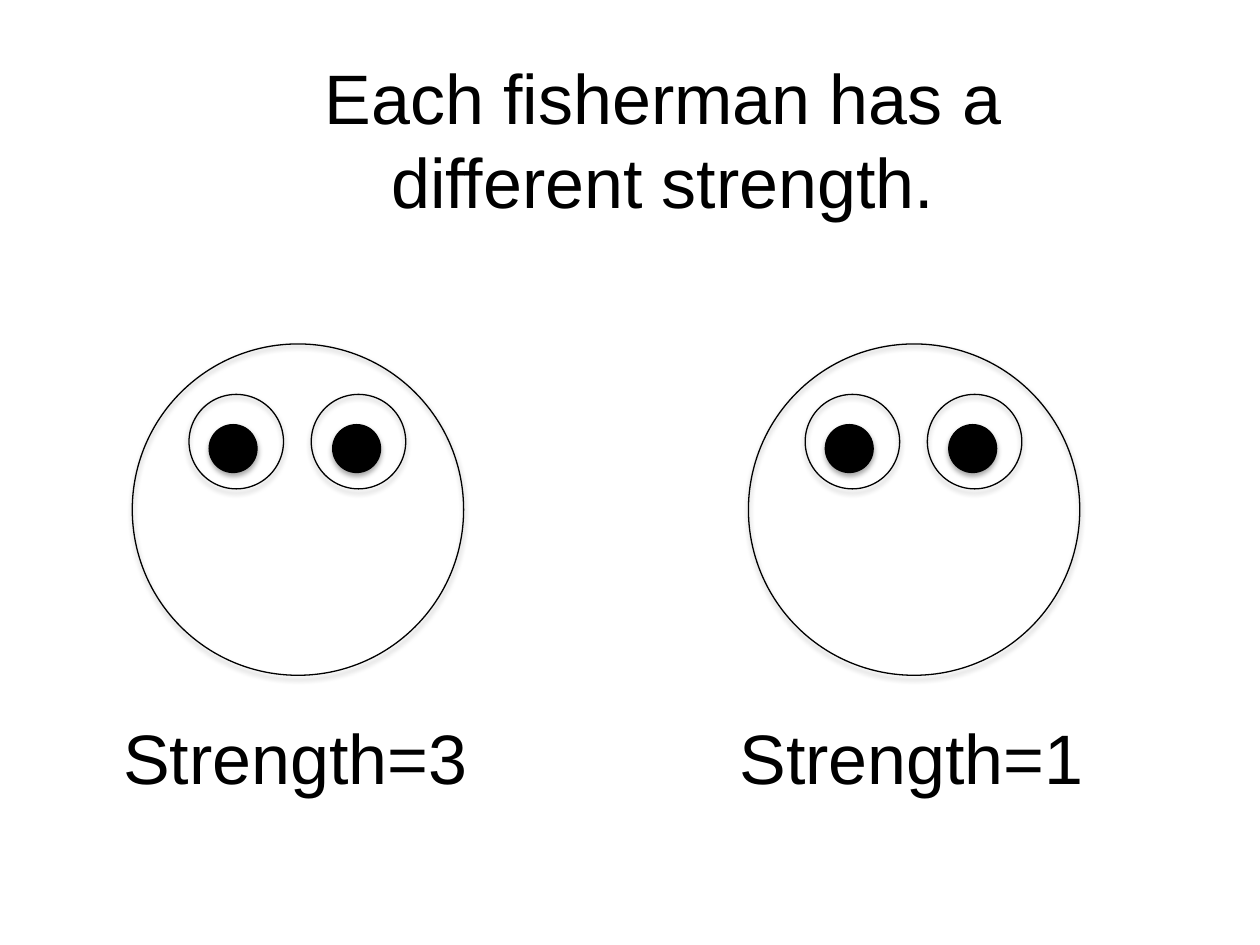
import pptx
import pptx.dml.color
import pptx.enum.shapes
import pptx.enum.text
import pptx.oxml
import pptx.oxml.ns
import pptx.util
from pptx.util import Inches

COLORS = {"ink": "000000"}
TITLE = "Each fisherman has a different strength."
FISHERMEN = [("Strength=3", 1.05), ("Strength=1", 5.94)]  # label, left of face
FACE_TOP = 2.73
# offset from the face's left and top, diameter, filled
FACE_PARTS = [
    (0, 0, 2.63, False),
    (0.45, 0.4, 0.75, False),
    (1.42, 0.4, 0.75, False),
    (0.61, 0.64, 0.38, True),
    (1.59, 0.64, 0.38, True),
]
LABEL_OFFSET, LABEL_TOP = -0.27, 5.62
SHADOW = (
    f'<a:outerShdw {pptx.oxml.ns.nsdecls("a")} blurRad="{pptx.util.Pt(3.1)}" '
    f'dist="{pptx.util.Pt(1.8)}" dir="5400000" rotWithShape="0">'
    f'<a:srgbClr val="{COLORS["ink"]}"><a:alpha val="35000"/></a:srgbClr>'
    "</a:outerShdw>"
)


def ink():
    return pptx.dml.color.RGBColor.from_string(COLORS["ink"])


def add_text(slide, text, left, top, width, height):
    frame = slide.shapes.add_textbox(
        Inches(left), Inches(top), Inches(width), Inches(height)
    ).text_frame
    frame.word_wrap = True
    frame.auto_size = pptx.enum.text.MSO_AUTO_SIZE.SHAPE_TO_FIT_TEXT
    paragraph = frame.paragraphs[0]
    paragraph.text = text
    paragraph.alignment = pptx.enum.text.PP_ALIGN.CENTER
    paragraph.font.name = "Arial"
    paragraph.font.size = pptx.util.Pt(40)
    paragraph.font.color.rgb = ink()


def add_circle(shapes, left, top, diameter, filled):
    circle = shapes.add_shape(
        pptx.enum.shapes.MSO_SHAPE.OVAL,
        Inches(left), Inches(top), Inches(diameter), Inches(diameter),
    )
    if filled:
        circle.fill.solid()
        circle.fill.fore_color.rgb = ink()
    else:
        circle.fill.background()
    circle.line.color.rgb = ink()
    circle.line.width = pptx.util.Pt(0.75)
    circle.shadow.inherit = False
    effects = circle.element.spPr.find(pptx.oxml.ns.qn("a:effectLst"))
    effects.append(pptx.oxml.parse_xml(SHADOW))


def add_face(slide, left, top):
    group = slide.shapes.add_group_shape()
    for dx, dy, diameter, filled in FACE_PARTS:
        add_circle(group.shapes, left + dx, top + dy, diameter, filled)


def main():
    presentation = pptx.Presentation()
    presentation.slide_width = Inches(10)
    presentation.slide_height = Inches(7.5)
    slide = presentation.slides.add_slide(presentation.slide_layouts[6])
    add_text(slide, TITLE, 1.63, 0.38, 7.26, 1.45)
    for label, left in FISHERMEN:
        add_face(slide, left, FACE_TOP)
        add_text(slide, label, left + LABEL_OFFSET, LABEL_TOP, 3.13, 0.77)
    presentation.save("out.pptx")


if __name__ == "__main__":
    main()
